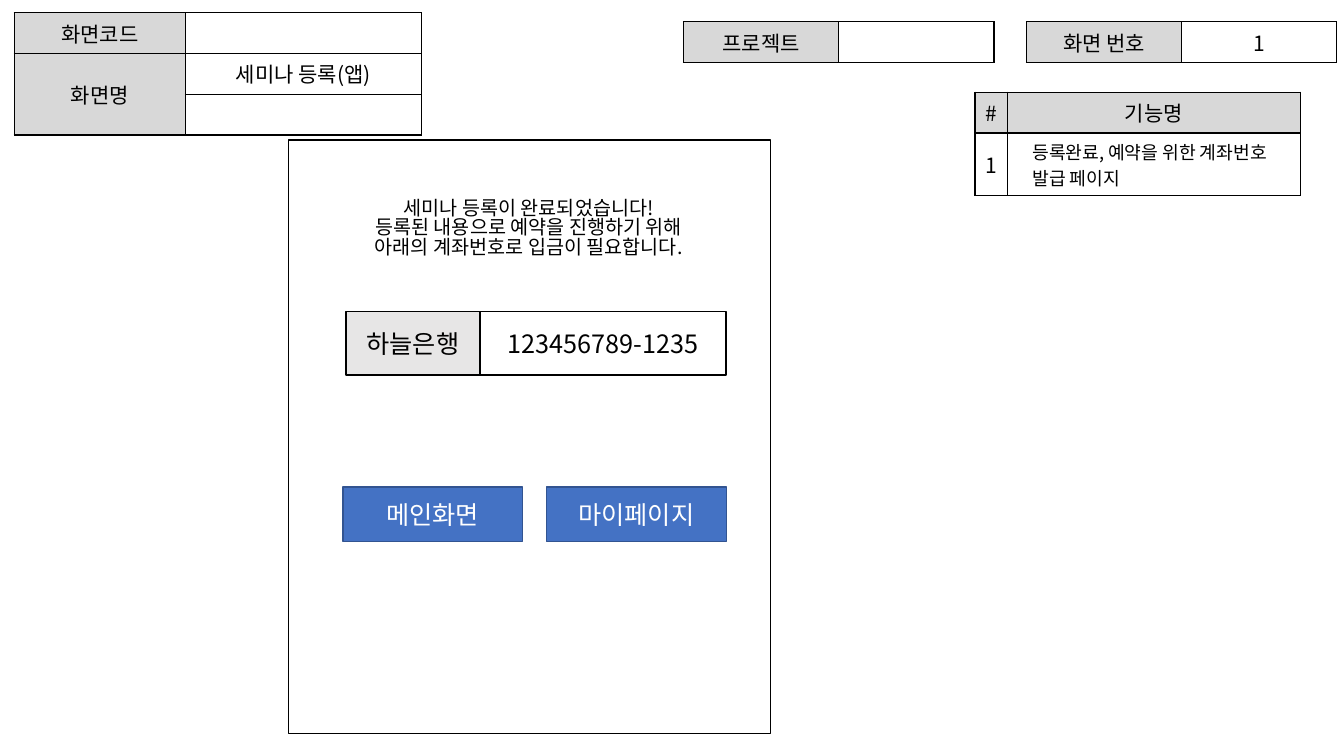
from dataclasses import dataclass
from typing import NamedTuple, Optional

from lxml import etree
from pptx import Presentation
from pptx.dml.color import RGBColor
from pptx.enum.shapes import MSO_SHAPE
from pptx.enum.text import MSO_ANCHOR, PP_ALIGN
from pptx.oxml.ns import qn
from pptx.util import Inches, Pt

RECTANGLE = MSO_SHAPE.RECTANGLE
MIDDLE, TOP = MSO_ANCHOR.MIDDLE, MSO_ANCHOR.TOP
CENTER, LEFT = PP_ALIGN.CENTER, PP_ALIGN.LEFT


@dataclass(frozen=True)
class Theme:
    font: str = "Noto Sans CJK KR"
    black: str = "000000"
    white: str = "FFFFFF"
    header: str = "D8D8D8"
    bank: str = "E7E6E6"
    button: str = "4472C4"
    button_line: str = "325491"
    table_size: float = 15
    note_size: float = 13
    message_size: float = 14
    label_size: float = 18
    line_width: float = 1


THEME = Theme()


class Box(NamedTuple):
    """Left, top, width and height in percent of the slide."""
    left: float
    top: float
    width: float
    height: float


class Cell(NamedTuple):
    text: str = ""
    fill: str = THEME.white
    note: bool = False


class Grid(NamedTuple):
    """Position, column widths and row heights in percent of the slide."""
    left: float
    top: float
    columns: list[float]
    rows: list[float]
    cells: list[list[Optional[Cell]]]


class Panel(NamedTuple):
    box: Box
    text: str = ""
    fill: Optional[str] = None
    line: str = THEME.black
    color: str = THEME.black


presentation = Presentation()
presentation.slide_width = Inches(13.33)
presentation.slide_height = Inches(7.5)
slide = presentation.slides.add_slide(presentation.slide_layouts[6])


def across(share: float) -> int:
    return round(presentation.slide_width * share / 100)


def down(share: float) -> int:
    return round(presentation.slide_height * share / 100)


def place(box: Box) -> tuple[int, int, int, int]:
    return across(box.left), down(box.top), across(box.width), down(box.height)


def apply(target, values: dict) -> None:
    for name, value in values.items():
        setattr(target, name, value)


def write(paragraph, text: str, size: float, color: str, align=CENTER) -> None:
    paragraph.alignment = align
    if not text:  # keeps the row of an empty cell low
        etree.SubElement(paragraph._p, qn("a:endParaRPr"), sz=str(int(size * 100)))
        return
    run = paragraph.add_run()
    run.text = text
    apply(run.font, {"size": Pt(size), "name": THEME.font})
    run.font.color.rgb = RGBColor.from_string(color)
    etree.SubElement(run._r.get_or_add_rPr(), qn("a:ea"), typeface=THEME.font)


def border(cell) -> None:
    properties = cell._tc.get_or_add_tcPr()
    for index, side in enumerate(("lnL", "lnR", "lnT", "lnB")):
        line = etree.Element(qn(f"a:{side}"), w=str(Pt(THEME.line_width)))
        fill = etree.SubElement(line, qn("a:solidFill"))
        etree.SubElement(fill, qn("a:srgbClr"), val=THEME.black)
        properties.insert(index, line)


def draw_grid(grid: Grid) -> None:
    box = Box(grid.left, grid.top, sum(grid.columns), sum(grid.rows))
    table = slide.shapes.add_table(len(grid.rows), len(grid.columns), *place(box)).table
    apply(table, {"first_row": False, "horz_banding": False})
    for column, width in zip(table.columns, grid.columns):
        column.width = across(width)
    for row, height in zip(table.rows, grid.rows):
        row.height = down(height)
    for row_index, row_cells in enumerate(grid.cells):
        for column_index, content in enumerate(row_cells):
            cell = table.cell(row_index, column_index)
            if content is None:  # joined with the cell above
                table.cell(row_index - 1, column_index).merge(cell)
                content = Cell(fill=THEME.header)
            cell.fill.solid()
            cell.fill.fore_color.rgb = RGBColor.from_string(content.fill)
            border(cell)
            cell.vertical_anchor = TOP if content.note else MIDDLE
            paragraph = cell.text_frame.paragraphs[0]
            size = THEME.note_size if content.note else THEME.table_size
            write(paragraph, content.text, size, THEME.black,
                  LEFT if content.note else CENTER)
            if content.note:
                paragraph._p.get_or_add_pPr().set("marL", str(Inches(0.15)))


def draw_panel(panel: Panel) -> None:
    shape = slide.shapes.add_shape(RECTANGLE, *place(panel.box))
    shape.shadow.inherit = False
    if panel.fill:
        shape.fill.solid()
        shape.fill.fore_color.rgb = RGBColor.from_string(panel.fill)
    else:
        shape.fill.background()
    shape.line.width = Pt(THEME.line_width)
    shape.line.color.rgb = RGBColor.from_string(panel.line)
    if panel.text:
        shape.text_frame.vertical_anchor = MIDDLE
        write(shape.text_frame.paragraphs[0], panel.text, THEME.label_size, panel.color)


def draw_message(box: Box, lines: list[str]) -> None:
    frame = slide.shapes.add_textbox(*place(box)).text_frame
    frame.word_wrap = True
    for index, line in enumerate(lines):
        paragraph = frame.add_paragraph() if index else frame.paragraphs[0]
        paragraph.line_spacing = 0.83
        write(paragraph, line, THEME.message_size, THEME.black)


def head(text: str) -> Cell:
    return Cell(text, THEME.header)


# Header tables and feature list
ROW = 5.4
HALF = 11.55
GRIDS = [
    Grid(1.05, 1.67, [12.75, 17.55], [ROW] * 3,
         [[head("화면코드"), Cell()],
          [head("화면명"), Cell("세미나 등록(앱)")],
          [None, Cell()]]),
    Grid(76.37, 2.87, [HALF] * 2, [ROW], [[head("화면 번호"), Cell("1")]]),
    Grid(50.86, 2.87, [HALF] * 2, [ROW], [[head("프로젝트"), Cell()]]),
    Grid(72.54, 12.2, [2.4, 21.83], [ROW, 8.3],
         [[head("#"), head("기능명")],
          [Cell("1"), Cell("등록완료, 예약을 위한 계좌번호 발급 페이지", note=True)]]),
]
for grid in GRIDS:
    draw_grid(grid)

# App screen with its message
draw_panel(Panel(Box(21.45, 18.53, 35.86, 78.53)))
draw_message(Box(24.38, 25.73, 29.93, 10.8),
             ["세미나 등록이 완료되었습니다!",
              "등록된 내용으로 예약을 진행하기 위해",
              "아래의 계좌번호로 입금이 필요합니다."])

# Buttons
BUTTON_STEP = 15.15
for index, label in enumerate(("메인화면", "마이페이지")):
    draw_panel(Panel(Box(25.51 + index * BUTTON_STEP, 64.4, 13.38, 7.2), label,
                     THEME.button, THEME.button_line, THEME.white))

# Bank account
draw_panel(Panel(Box(25.73, 41.2, 9.98, 8.4), "하늘은행", THEME.bank))
draw_panel(Panel(Box(35.71, 41.2, 18.3, 8.4), "123456789-1235"))

presentation.save("out.pptx")
